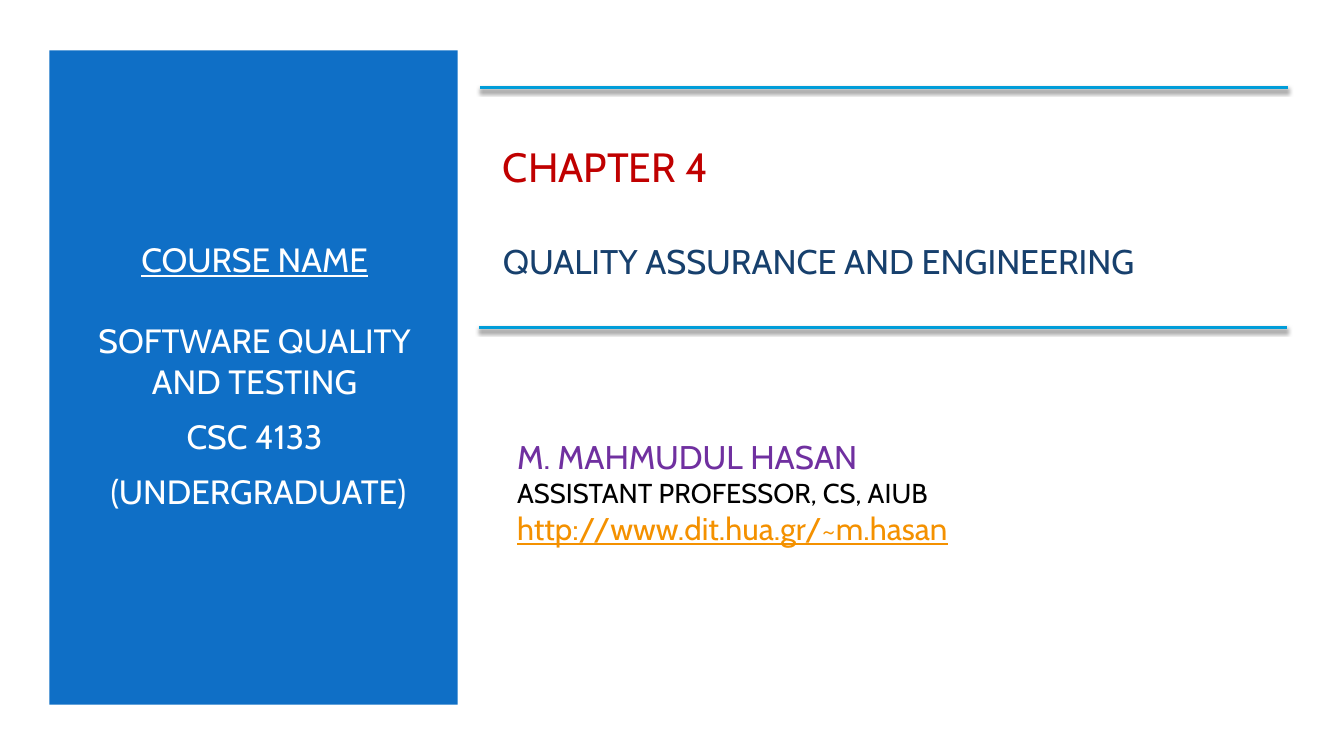
from lxml.etree import SubElement
from pptx import Presentation
from pptx.dml.color import RGBColor
from pptx.enum.shapes import MSO_CONNECTOR, MSO_SHAPE
from pptx.enum.text import MSO_ANCHOR, PP_ALIGN
from pptx.oxml.ns import qn
from pptx.util import Inches, Pt

FONT = "Cabin"
WHITE = "FFFFFF"
BLUE = "0F6FC6"
CYAN = "009DD9"


def rgb(value):
    return RGBColor.from_string(value)


def add_panel(slide, left, top, width, height, color):
    panel = slide.shapes.add_shape(
        MSO_SHAPE.RECTANGLE, Inches(left), Inches(top), Inches(width), Inches(height))
    panel.shadow.inherit = False
    panel.fill.solid()
    panel.fill.fore_color.rgb = rgb(color)
    panel.line.fill.background()


def add_text(slide, left, top, width, height, lines, align=PP_ALIGN.LEFT):
    """Each line is (text, size, colour, underline, space before in points)."""
    box = slide.shapes.add_textbox(
        Inches(left), Inches(top), Inches(width), Inches(height))
    frame = box.text_frame
    frame.word_wrap = True
    frame.vertical_anchor = MSO_ANCHOR.MIDDLE
    for index, (text, size, color, underline, gap) in enumerate(lines):
        paragraph = frame.add_paragraph() if index else frame.paragraphs[0]
        paragraph.alignment = align
        if gap:
            paragraph.space_before = Pt(gap)
        run = paragraph.add_run()
        run.text = text
        run.font.name = FONT
        run.font.size = Pt(size)
        run.font.color.rgb = rgb(color)
        run.font.underline = underline


def add_rule(slide, left, top, length):
    """Horizontal line with a soft shadow below it."""
    rule = slide.shapes.add_connector(
        MSO_CONNECTOR.STRAIGHT, Inches(left), Inches(top),
        Inches(left + length), Inches(top))
    rule.line.color.rgb = rgb(CYAN)
    rule.line.width = Pt(2)
    effects = SubElement(rule._element.spPr, qn("a:effectLst"))
    shadow = SubElement(
        effects, qn("a:outerShdw"), blurRad=str(Pt(3)), dist=str(Pt(2)),
        dir="5400000", rotWithShape="0")
    tint = SubElement(shadow, qn("a:srgbClr"), val="000000")
    SubElement(tint, qn("a:alpha"), val="55000")


def main():
    deck = Presentation()
    deck.slide_width = Inches(13.33)
    deck.slide_height = Inches(7.5)
    slide = deck.slides.add_slide(deck.slide_layouts[6])

    add_panel(slide, 0, 0, 13.33, 7.5, WHITE)
    add_panel(slide, 0.49, 0.5, 4.05, 6.49, BLUE)
    add_text(slide, 0.84, 1.1, 3.37, 5.25, [
        ("COURSE NAME", 24, WHITE, True, 0),
        ("SOFTWARE QUALITY AND TESTING", 24, WHITE, False, 29),
        ("CSC 4133", 24, WHITE, False, 10.8),
        (" (UNDERGRADUATE)", 24, WHITE, False, 10.8),
    ], PP_ALIGN.CENTER)
    add_text(slide, 4.89, 1.1, 7.85, 2, [
        ("CHAPTER 4", 29.2, "C00000", False, 0),
        ("QUALITY ASSURANCE AND ENGINEERING", 24.4, "17406D", False, 35),
    ])
    add_text(slide, 5.03, 4.1, 6.66, 1.56, [
        ("M. MAHMUDUL HASAN", 23.4, "7030A0", False, 0),
        ("ASSISTANT PROFESSOR, CS, AIUB", 19.5, "000000", False, 0),
        ("http://www.dit.hua.gr/~m.hasan", 22.4, "F49100", True, 0),
    ])
    add_rule(slide, 4.76, 0.87, 8.01)
    add_rule(slide, 4.75, 3.25, 8.01)

    deck.save("out.pptx")


if __name__ == "__main__":
    main()
